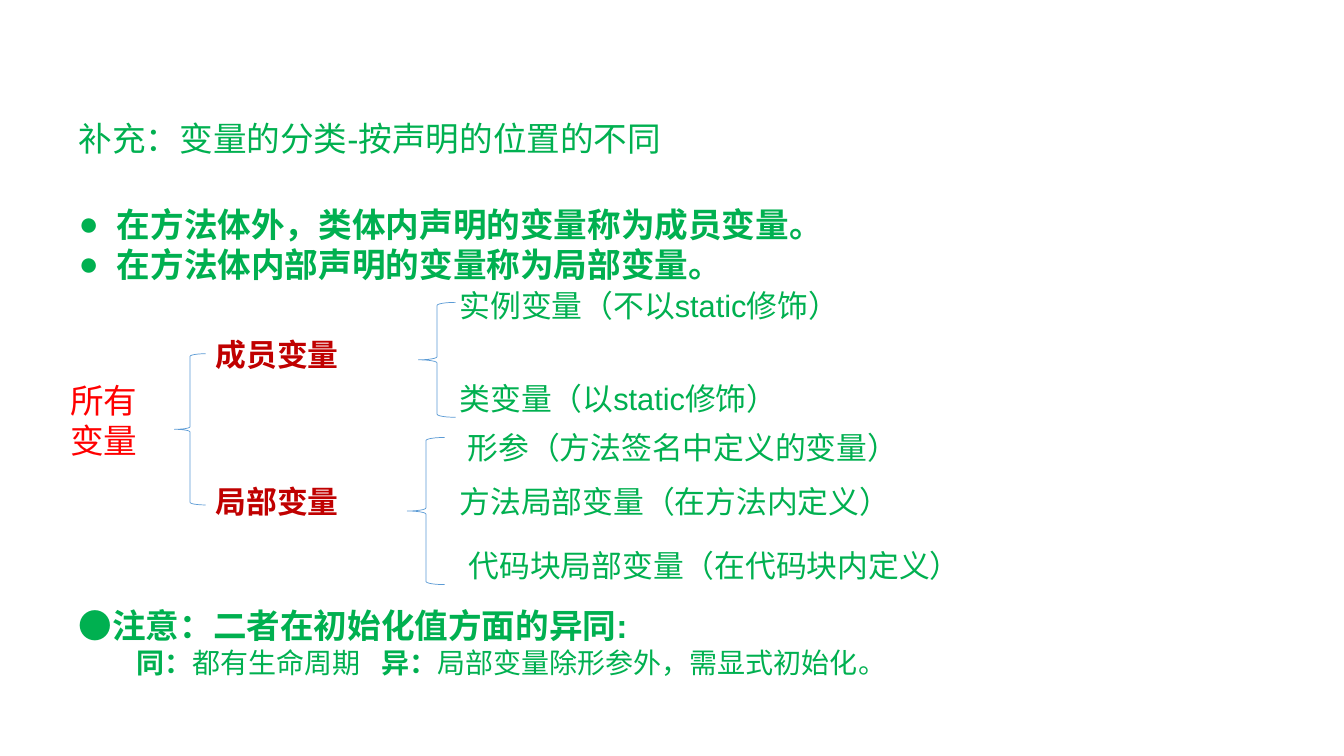
from lxml import etree
from pptx import Presentation
from pptx.dml.color import RGBColor
from pptx.enum.shapes import MSO_SHAPE
from pptx.enum.text import MSO_ANCHOR, MSO_AUTO_SIZE, PP_ALIGN
from pptx.oxml.ns import qn
from pptx.util import Inches, Pt

GREEN = RGBColor(0x00, 0xB0, 0x50)
DARK_RED = RGBColor(0xC0, 0x00, 0x00)
RED = RGBColor(0xFF, 0x00, 0x00)
BLUE = RGBColor(0x5B, 0x9B, 0xD5)
BRACE = MSO_SHAPE.LEFT_BRACE
TOP = MSO_ANCHOR.TOP
LEFT = PP_ALIGN.LEFT
NO_FIT = MSO_AUTO_SIZE.NONE

# Left, top, width, height of each brace
BRACES = [(1.73, 3.51, 0.31, 1.5), (4.15, 3, 0.37, 1.14), (4.04, 4.34, 0.37, 1.46)]
# Left, top and wording of the tree
GROUPS = [(2.04, 3.28, "成员变量"), (2.04, 4.74, "局部变量")]
LEAVES = [
    (4.46, 2.8, "实例变量（不以static修饰）"),
    (4.46, 3.72, "类变量（以static修饰）"),
    (4.54, 4.2, "形参（方法签名中定义的变量）"),
    (4.46, 4.74, "方法局部变量（在方法内定义）"),
    (4.55, 5.37, "代码块局部变量（在代码块内定义）"),
]
POINTS = ["在方法体外，类体内声明的变量称为成员变量。", "在方法体内部声明的变量称为局部变量。"]
NOTE = "●注意：二者在初始化值方面的异同:"
PARTS = [("同：", True), ("都有生命周期\t", False),
         ("异：", True), ("局部变量除形参外，需显式初始化。", False)]


def place(shape, left, top, width, height):
    shape.left, shape.top = Inches(left), Inches(top)
    shape.width, shape.height = Inches(width), Inches(height)
    frame = shape.text_frame
    frame.word_wrap = True
    frame.auto_size = NO_FIT
    frame.vertical_anchor = TOP
    return frame


def style(para, size, color, bold=None):
    para.alignment = LEFT
    para.space_before = Pt(0)
    font = para.font
    font.name, font.size, font.bold = "Arial", Pt(size), bold
    font.color.rgb = color


def indent(para, margin, first, bullet=None):
    props = para._p.get_or_add_pPr()
    props.set("marL", str(Inches(margin)))
    props.set("indent", str(Inches(first)))
    if bullet:
        etree.SubElement(props, qn("a:buChar")).set("char", bullet)
    else:
        etree.SubElement(props, qn("a:buNone"))


def add_tab(para, pos):
    tabs = etree.SubElement(para._p.get_or_add_pPr(), qn("a:tabLst"))
    tab = etree.SubElement(tabs, qn("a:tab"))
    tab.set("pos", str(Inches(pos)))
    tab.set("algn", "l")


def add_label(slide, left, top, width, height, text, size, color, bold=None):
    box = slide.shapes.add_textbox(0, 0, 0, 0)
    frame = place(box, left, top, width, height)
    frame.text = text
    for para in frame.paragraphs:
        style(para, size, color, bold)


def add_brace(slide, *area):
    brace = slide.shapes.add_shape(BRACE, *map(Inches, area))
    brace.shadow.inherit = False
    brace.fill.background()
    brace.line.color.rgb = BLUE
    brace.line.width = Pt(0.5)


def fill_body(frame):
    # Definitions
    frame.text = "\n".join(POINTS + [NOTE])
    *points, note = frame.paragraphs
    for para in points:
        indent(para, 0.38, -0.38, "●")
        style(para, 24, GREEN, True)

    # Note below the tree
    indent(note, 0, 0)
    style(note, 24, GREEN, True)
    note.space_before = Pt(229)

    # Alike and different
    para = frame.add_paragraph()
    indent(para, 0, 0.57)
    add_tab(para, 3.18)
    style(para, 20, GREEN)
    for text, bold in PARTS:
        run = para.add_run()
        run.text = text
        run.font.bold = bold


def main():
    deck = Presentation()
    deck.slide_width, deck.slide_height = Inches(13.33), Inches(7.5)
    slide = deck.slides.add_slide(deck.slide_layouts[1])

    # Title and body
    title = place(slide.shapes.title, 0.68, 1.12, 8.61, 0.5)
    title.text = "补充：变量的分类-按声明的位置的不同"
    style(title.paragraphs[0], 24, GREEN)
    fill_body(place(slide.placeholders[1], 0.68, 1.97, 11.76, 4.91))

    # Tree of variables
    for area in BRACES:
        add_brace(slide, *area)
    add_label(slide, 0.6, 3.72, 1.23, 0.91, "所有\n变量", 24, RED)
    for left, top, text in GROUPS:
        add_label(slide, left, top, 2.21, 0.47, text, 22, DARK_RED, True)
    for left, top, text in LEAVES:
        add_label(slide, left, top, 7.16, 0.47, text, 22, GREEN)

    deck.save("out.pptx")


if __name__ == "__main__":
    main()
